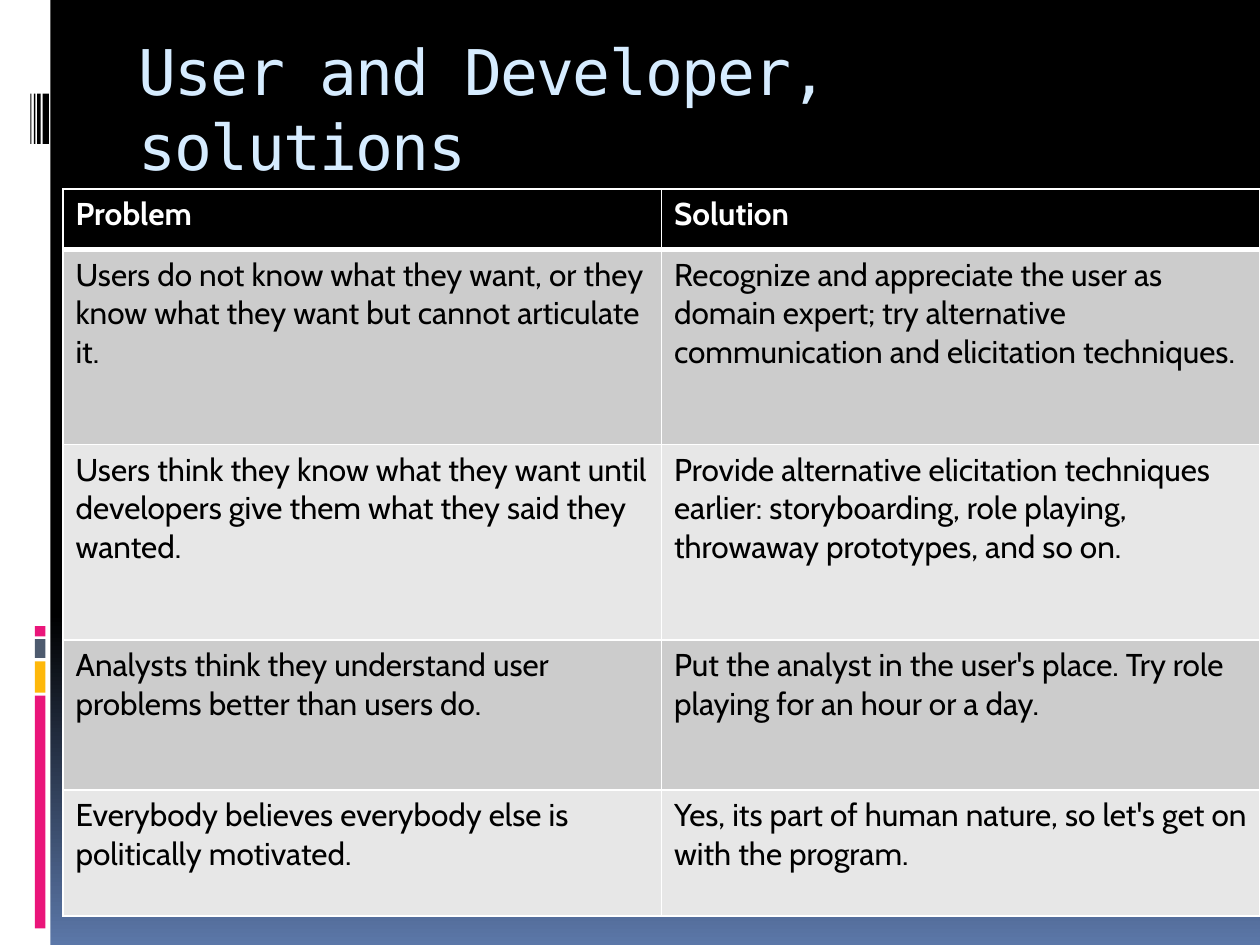
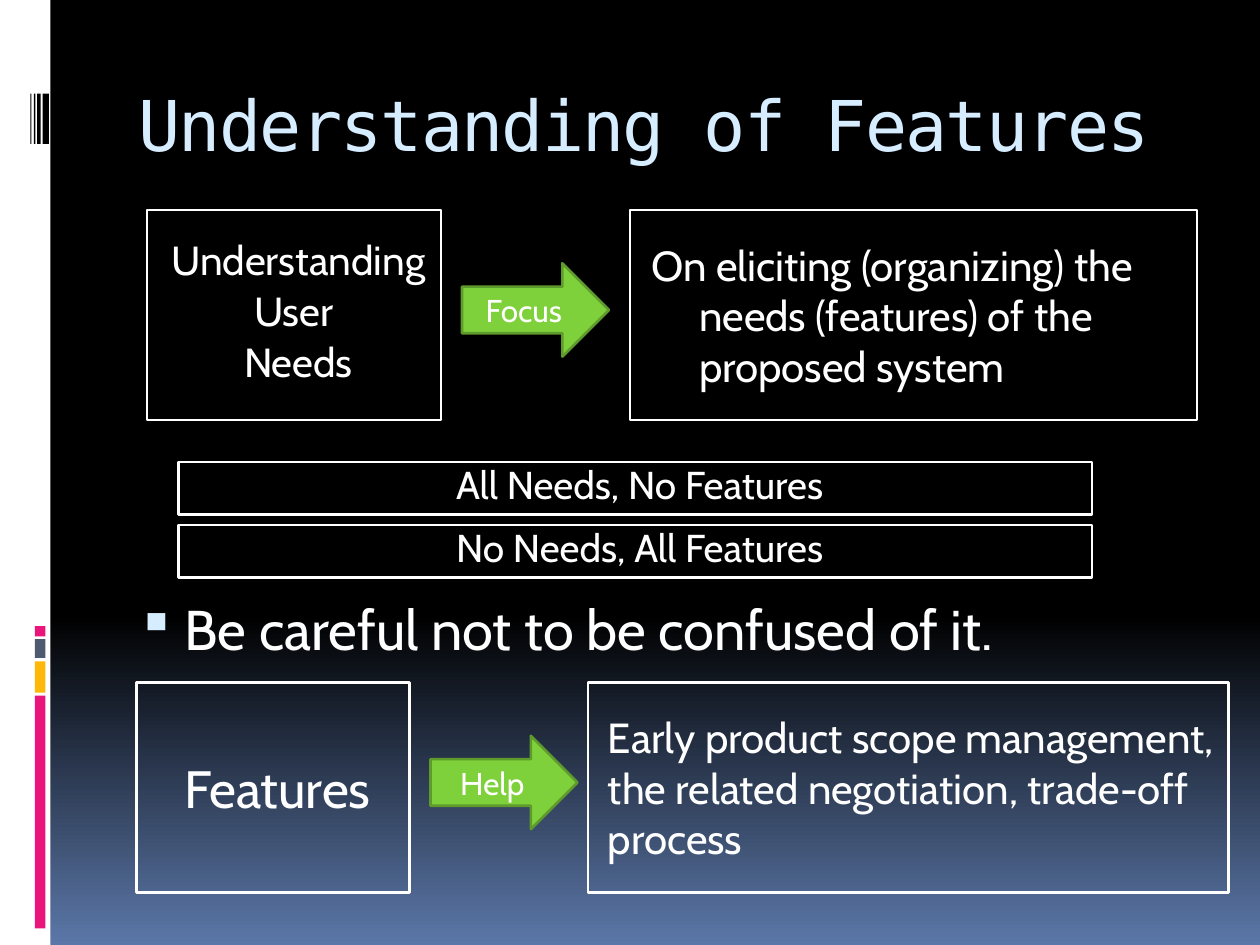
import pptx
import pptx.util
import pptx.dml.color
import pptx.enum.shapes
import pptx.enum.text
import pptx.oxml
import pptx.oxml.ns
from lxml import etree

Pt = pptx.util.Pt
Shape = pptx.enum.shapes.MSO_SHAPE
Align = pptx.enum.text.PP_ALIGN
Anchor = pptx.enum.text.MSO_ANCHOR
qn = pptx.oxml.ns.qn

COLORS = {
    "black": "000000", "white": "FFFFFF", "sky": "D6ECFF", "dusk": "5B77A8",
    "pink": "EA157A", "amber": "FEB80A", "slate": "4E5B6F",
    "green": "7FD13B", "dark_green": "5E9B2C",
    "odd_row": "CCCCCC", "even_row": "E7E7E7",
}
BODY_FONT = "Cabin"
TITLE_FONT = "DejaVu Sans Mono"
SIDE_BARS = [
    ("white", 0, 0, 28.8, 540),
    ("pink", 20, 397.6, 6, 133),
    ("amber", 20, 378, 6, 17.8),
    ("slate", 20, 365.2, 6, 10.8),
    ("pink", 20, 357.8, 6, 5.8),
    ("black", 24.3, 53.5, 3.7, 28.8),
    ("black", 21.2, 53.5, 2, 28.8),
    ("black", 19.3, 53.5, 1, 28.8),
    ("black", 17.4, 53.5, 0.6, 28.8),
]
PROBLEMS = [
    ("Problem", "Solution"),
    ("Users do not know what they want, or they know what they want but cannot articulate it.",
     "Recognize and appreciate the user as domain expert; try alternative communication and elicitation techniques."),
    ("Users think they know what they want until developers give them what they said they wanted.",
     "Provide alternative elicitation techniques earlier: storyboarding, role playing, throwaway prototypes, and so on."),
    ("Analysts think they understand user problems better than users do.",
     "Put the analyst in the user's place. Try role playing for an hour or a day."),
    ("Everybody believes everybody else is politically motivated.",
     "Yes, its part of human nature, so let's get on with the program."),
]
ROW_HEIGHTS = [34.5, 111.6, 111.6, 85.7, 72]
CENTERED = {"align": Align.CENTER, "margin": 8.64, "indent": -3.6, "before": 7}
HANGING = {"margin": 32.4, "indent": -27.36, "before": 7}
FLUSH = {"margin": 4.32, "before": 7}


def rgb(name):
    return pptx.dml.color.RGBColor.from_string(COLORS[name])


class Builder:
    def __init__(self, deck):
        self.deck = deck
        self.page = None

    def start(self, title, top, size):
        self.page = self.deck.slides.add_slide(self.deck.slide_layouts[5])
        fill = self.page.background.fill
        fill.gradient()
        fill.gradient_angle = 270
        for stop, position, color in zip(fill.gradient_stops, (0.65, 1), ("black", "dusk")):
            stop.position = position
            stop.color.rgb = rgb(color)
        for color, *place in SIDE_BARS:
            self.shape(Shape.RECTANGLE, place, fill=color)
        self.title(title, top, size)

    def title(self, text, top, size):
        box = self.page.shapes.title
        box.left, box.top, box.width, box.height = Pt(72), Pt(top), Pt(612), Pt(72)
        frame = box.text_frame
        frame.auto_size = pptx.enum.text.MSO_AUTO_SIZE.NONE
        frame.vertical_anchor = Anchor.TOP
        frame.margin_top = Pt(6.5)
        self.fill_text(frame, [text], size, "sky", TITLE_FONT)
        frame.paragraphs[0].runs[0]._r.get_or_add_rPr().set("spc", "-100")

    def fill_text(self, frame, lines, size, color="white", font=BODY_FONT, bold=False,
                  align=Align.LEFT, margin=0, indent=0, before=0, spacing=None):
        frame.word_wrap = True
        for number, line in enumerate(lines):
            para = frame.add_paragraph() if number else frame.paragraphs[0]
            para.text = line
            para.alignment = align
            para.space_before = Pt(before)
            if spacing:
                para.line_spacing = spacing
            para.font.name = font
            para.font.size = Pt(size)
            para.font.bold = bold
            para.font.color.rgb = rgb(color)
            properties = para._p.get_or_add_pPr()
            properties.set("marL", str(Pt(margin)))
            properties.set("indent", str(Pt(indent)))

    def shape(self, kind, place, fill=None, line=None):
        box = self.page.shapes.add_shape(kind, *map(Pt, place))
        box.shadow.inherit = False
        if fill:
            box.fill.solid()
            box.fill.fore_color.rgb = rgb(fill)
        else:
            box.fill.background()
        if line:
            box.line.color.rgb = rgb(line)
            box.line.width = Pt(1.5)
        else:
            box.line.fill.background()
        return box

    def framed(self, place, lines, size, **style):
        box = self.shape(Shape.RECTANGLE, place, line="white")
        self.fill_text(box.text_frame, lines, size, **style)

    def arrow(self, left, top, text):
        box = self.shape(Shape.RIGHT_ARROW, (left, top, 84, 53.3), "green", "dark_green")
        self.fill_text(box.text_frame, [text], 18, align=Align.CENTER)

    def bullet(self, place, text, size):
        box = self.page.shapes.add_textbox(*map(Pt, place))
        self.fill_text(box.text_frame, [text], size, **HANGING)
        properties = box.text_frame.paragraphs[0]._p.get_or_add_pPr()
        color = etree.Element(qn("a:buClr"))
        etree.SubElement(color, qn("a:srgbClr"), val=COLORS["sky"])
        marks = [
            color,
            etree.Element(qn("a:buSzPct"), val="95000"),
            etree.Element(qn("a:buChar"), char="▪"),
        ]
        defaults = properties.find(qn("a:defRPr"))
        for mark in marks:
            defaults.addprevious(mark)

    def border(self, cell, side, width):
        line = etree.SubElement(cell._tc.get_or_add_tcPr(), qn("a:ln" + side), w=str(Pt(width)))
        fill = etree.SubElement(line, qn("a:solidFill"))
        etree.SubElement(fill, qn("a:srgbClr"), val=COLORS["white"])

    def table(self, place, rows, heights):
        table = self.page.shapes.add_table(len(rows), len(rows[0]), *map(Pt, place)).table
        table.horz_banding = False
        for index, (texts, height) in enumerate(zip(rows, heights)):
            table.rows[index].height = Pt(height)
            header = index == 0
            fill = "black" if header else "odd_row" if index % 2 else "even_row"
            widths = {"L": 1, "R": 1, "T": 3 if index == 1 else 1, "B": 3 if header else 1}
            for column, text in enumerate(texts):
                cell = table.cell(index, column)
                for side, width in widths.items():
                    self.border(cell, side, width)
                cell.fill.solid()
                cell.fill.fore_color.rgb = rgb(fill)
                self.fill_text(cell.text_frame, [text], 18, "white" if header else "black", bold=header)


def main():
    deck = pptx.Presentation()
    deck.slide_width, deck.slide_height = Pt(720), Pt(540)
    builder = Builder(deck)

    builder.start("User and Developer, solutions", 12, 36)
    builder.table((36, 108, 684, sum(ROW_HEIGHTS)), PROBLEMS, ROW_HEIGHTS)

    builder.start("Understanding of Features", 40, 40)
    builder.bullet((66, 336, 612, 54), "Be careful not to be confused of it.", 32)
    builder.framed((84, 120, 168, 120), ["Understanding", "User ", "Needs"], 23.2,
                   spacing=0.8, **CENTERED)
    builder.arrow(264, 150.5, "Focus")
    builder.framed((360, 120, 324, 120),
                   ["On eliciting (organizing) the needs (features) of the proposed system"],
                   24, **HANGING)
    for row, text in enumerate(["All Needs, No Features", "No Needs, All Features"]):
        builder.framed((102, 264 + 36 * row, 522, 30), [text], 22.2, spacing=0.8, **CENTERED)
    builder.framed((78, 390, 156, 120), ["Features"], 30, **CENTERED)
    builder.arrow(246, 420.5, "Help")
    builder.framed((336, 390, 366, 120),
                   ["Early product scope management, the related negotiation, trade-off process"],
                   24, **FLUSH)

    deck.save("out.pptx")


if __name__ == "__main__":
    main()
